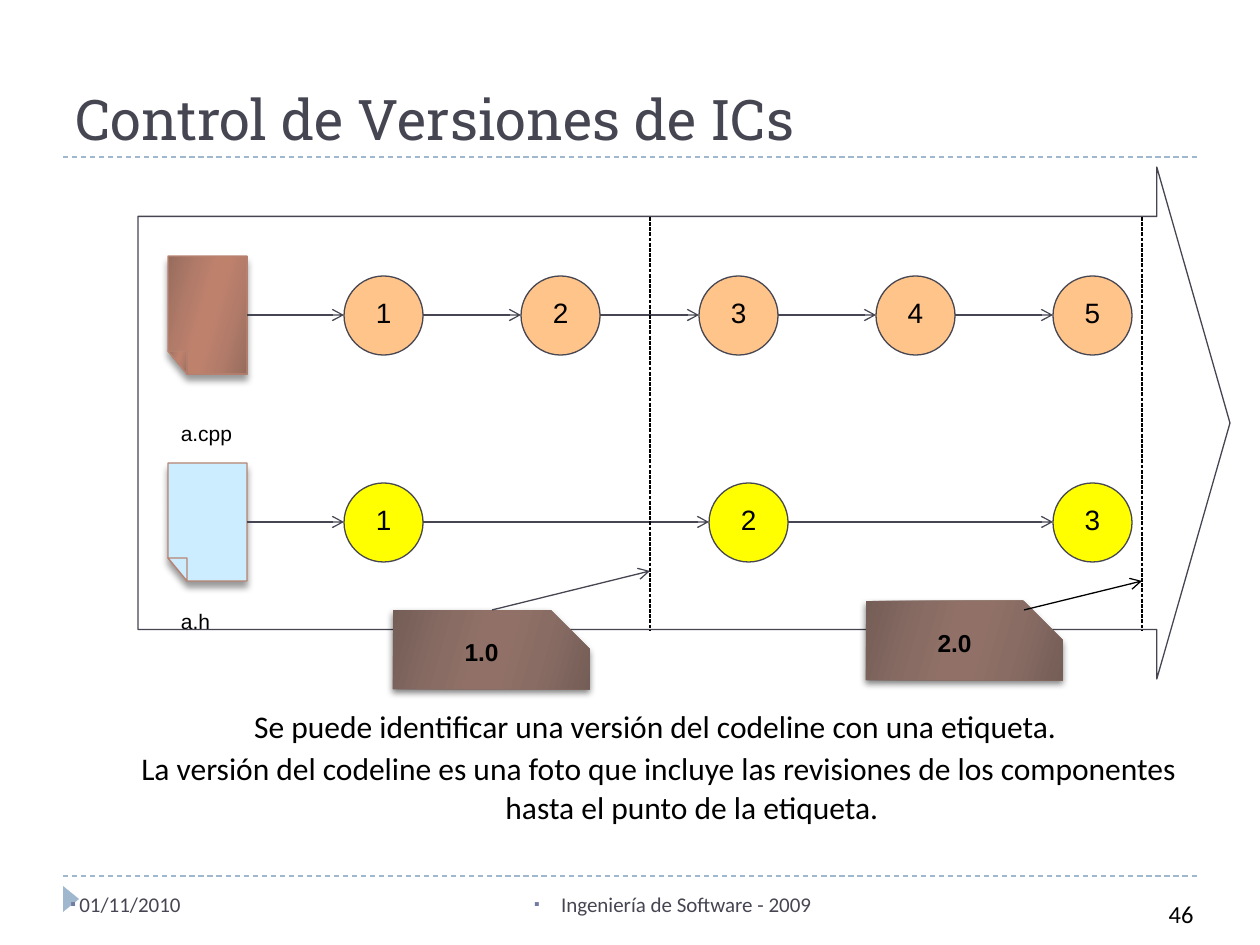
"""Builds the slide on version control of configuration items."""
from pptx import Presentation
from pptx.dml.color import RGBColor
from pptx.enum.dml import MSO_LINE as DASH
from pptx.enum.shapes import MSO_CONNECTOR, MSO_SHAPE as SHAPE
from pptx.enum.text import MSO_ANCHOR as ANCHOR, MSO_AUTO_SIZE as AUTO_SIZE, PP_ALIGN as ALIGN
from pptx.oxml import parse_xml
from pptx.oxml.ns import nsdecls, qn
from pptx.util import Pt

PX = 914400 / 126
COLORS = {"ink": "464653", "black": "000000", "rule": "9FB8CD", "bullet": "727CA3",
          "orange": "FFC489", "yellow": "FFFF00", "sky": "CCECFF", "page_edge": "B88472"}
BROWN_PAGE = ("976C5D", "B37C6A", "BE816C")
BROWN_TAG = ("745E57", "896D64", "917167")
GRADIENT_POSITIONS = (0, 30, 45, 55, 73, 100)

TITLE = "Control de Versiones de ICs"
ROWS = [
    {"top": 256, "fill": BROWN_PAGE, "circle": "orange", "lefts": [344, 521, 699, 876, 1053],
     "label": "a.cpp", "label_box": (168, 413, 77, 38)},
    {"top": 463, "fill": "sky", "circle": "yellow", "lefts": [344, 709, 1053],
     "label": "a.h", "label_box": (168, 601, 55, 38)},
]
TAGS = [("1.0", 393, 610), ("2.0", 866, 601)]
TAG_ARROWS = [((492, 610), (650, 571), "ink"), ((1024, 610), (1142, 581), "black")]
CUTS = [650, 1142]
RULES = [876, 157]
CAPTION = ["Se puede identificar una versión del codeline con una etiqueta. ",
           "La versión del codeline es una foto que incluye las revisiones de los "
           "componentes hasta el punto de la etiqueta."]
FOOTERS = [
    ("01/11/2010", (58, 885, 294, 50), {"size": 12, "color": "ink", "bullet": True, "hanging": 9}),
    ("Ingeniería de Software - 2009", (425, 885, 399, 50),
     {"size": 12, "color": "ink", "align": ALIGN.RIGHT, "bullet": True, "hanging": 27}),
    ("46", (965, 893, 241, 42), {"size": 14, "align": ALIGN.RIGHT}),
]
PAGE_LEFT, PAGE_WIDTH, PAGE_HEIGHT = 168, 79, 118
FOLD_WIDTH, FOLD_HEIGHT = 19, 23
DIAMETER, CIRCLE_OFFSET = 79, 20


def emu(*lengths):
    return [round(length * PX) for length in lengths]


def rgb(name):
    return RGBColor.from_string(COLORS[name])


def write(shape, lines, size=12, color="black", font="Calibri", bold=False, align=ALIGN.LEFT,
          anchor=ANCHOR.TOP, wrap=True, spacing=None, before=0, hanging=0, bullet=False):
    frame = shape.text_frame
    frame.word_wrap, frame.vertical_anchor = wrap, anchor
    frame.auto_size = AUTO_SIZE.NONE
    for index, line in enumerate(lines):
        paragraph = frame.add_paragraph() if index else frame.paragraphs[0]
        paragraph.alignment, paragraph.space_before = align, Pt(before)
        if spacing:
            paragraph.line_spacing = spacing
        run = paragraph.add_run()
        run.text = line
        run.font.size, run.font.name, run.font.bold = Pt(size), font, bold
        run.font.color.rgb = rgb(color)
        properties = paragraph._p.get_or_add_pPr()
        if hanging:
            margin, = emu(hanging)
            properties.set("marL", str(margin))
            properties.set("indent", str(-margin))
        if bullet:
            for xml in (f'<a:buClr {nsdecls("a")}><a:srgbClr val="{COLORS["bullet"]}"/></a:buClr>',
                        f'<a:buSzPct {nsdecls("a")} val="76000"/>',
                        f'<a:buFont {nsdecls("a")} typeface="Arial"/>',
                        f'<a:buChar {nsdecls("a")} char="▪"/>'):
                properties.append(parse_xml(xml))


def paint(shape, fill=None, line=None):
    shape.shadow.inherit = False
    if fill is None:
        shape.fill.background()
    elif isinstance(fill, tuple):
        shape.fill.gradient()
        shape.fill.gradient_angle = 344
        stops = shape.element.spPr.find(qn("a:gradFill")).find(qn("a:gsLst"))
        for stop in list(stops):
            stops.remove(stop)
        for position, color in zip(GRADIENT_POSITIONS, fill + fill[::-1]):
            stops.append(parse_xml(f'<a:gs {nsdecls("a")} pos="{position * 1000}">'
                                   f'<a:srgbClr val="{color}"/></a:gs>'))
    else:
        shape.fill.solid()
        shape.fill.fore_color.rgb = rgb(fill)
    if line:
        shape.line.color.rgb = rgb(line)
        shape.line.width = Pt(0.75)
    else:
        shape.line.fill.background()
    return shape


def cast_shadow(shape, opacity, distance):
    shape.element.spPr.find(qn("a:effectLst")).append(parse_xml(
        f'<a:outerShdw {nsdecls("a")} blurRad="{Pt(4)}" dist="{Pt(distance)}" dir="5400000" '
        f'rotWithShape="0"><a:srgbClr val="000000"><a:alpha val="{opacity * 1000}"/>'
        '</a:srgbClr></a:outerShdw>'))


def add_shape(shapes, kind, box, fill=None, line=None, adjustments=()):
    shape = paint(shapes.add_shape(kind, *emu(*box)), fill, line)
    for index, value in enumerate(adjustments):
        shape.adjustments[index] = value
    return shape


def add_line(shapes, start, end, color="ink", dash=None, arrow=False):
    connector = shapes.add_connector(MSO_CONNECTOR.STRAIGHT, *emu(*start, *end))
    connector.line.color.rgb = rgb(color)
    connector.line.width = Pt(0.75)
    if dash:
        connector.line.dash_style = dash
    if arrow:
        connector.line._get_or_add_ln().append(
            parse_xml(f'<a:tailEnd {nsdecls("a")} type="arrow"/>'))
    connector.element.spPr.append(parse_xml(f'<a:effectLst {nsdecls("a")}/>'))


def add_outline(shapes, points, fill):
    builder = shapes.build_freeform(*points[0], scale=PX)
    builder.add_line_segments(points[1:], close=True)
    return paint(builder.convert_to_shape(), fill, "page_edge")


def add_page(shapes, top, fill):
    right, bottom = PAGE_LEFT + PAGE_WIDTH, top + PAGE_HEIGHT
    fold_x, fold_y = PAGE_LEFT + FOLD_WIDTH, bottom - FOLD_HEIGHT
    page = add_outline(shapes, [(PAGE_LEFT, top), (right, top), (right, bottom),
                                (fold_x, bottom), (PAGE_LEFT, fold_y)], fill)
    cast_shadow(page, 40, 3.4)
    add_outline(shapes, [(PAGE_LEFT, fold_y), (fold_x, fold_y), (fold_x, bottom)], fill)


def add_row(shapes, row):
    add_page(shapes, row["top"], row["fill"])
    circle_top = row["top"] + CIRCLE_OFFSET
    middle = circle_top + DIAMETER // 2
    previous_right = PAGE_LEFT + PAGE_WIDTH
    for number, left in enumerate(row["lefts"], 1):
        circle = add_shape(shapes, SHAPE.OVAL, (left, circle_top, DIAMETER, DIAMETER),
                           row["circle"], "ink")
        write(circle, [str(number)], size=16, font="Arial", align=ALIGN.CENTER, spacing=1.05)
        add_line(shapes, (previous_right, middle), (left, middle), arrow=True)
        previous_right = left + DIAMETER
    label = shapes.add_textbox(*emu(*row["label_box"]))
    write(label, [row["label"]], font="Arial", align=ALIGN.CENTER, wrap=False, spacing=1.05)


def main():
    presentation = Presentation()
    presentation.slide_width, presentation.slide_height = emu(1260, 945)
    slide = presentation.slides.add_slide(presentation.slide_layouts[5])
    shapes = slide.shapes

    for y in RULES:
        add_line(shapes, (63, y), (1197, y), "rule", DASH.DASH)
    add_shape(shapes, SHAPE.ISOSCELES_TRIANGLE, (58, 891, 26, 16), "rule").rotation = 90
    title = shapes.title
    title.left, title.top, title.width, title.height = emu(63, 32, 1134, 126)
    write(title, [TITLE], size=32, color="ink", font="Roboto Slab", anchor=ANCHOR.BOTTOM)
    for text, box, style in FOOTERS:
        write(shapes.add_textbox(*emu(*box)), [text], **style)

    for row in ROWS:
        add_row(shapes, row)
    add_shape(shapes, SHAPE.RIGHT_ARROW, (138, 167, 1092, 512), line="ink",
              adjustments=(0.807, 0.143))
    for text, left, top in TAGS:
        tag = add_shape(shapes, SHAPE.SNIP_1_RECTANGLE, (left, top, 197, 79), BROWN_TAG,
                        adjustments=(0.5,))
        cast_shadow(tag, 50, 2)
        write(tag, [text], size=14, font="Arial", bold=True, align=ALIGN.CENTER, spacing=1.05)
    for x in CUTS:
        add_line(shapes, (x, 217), (x, 630), "black", DASH.SQUARE_DOT)
    for start, end, color in TAG_ARROWS:
        add_line(shapes, start, end, color, arrow=True)

    write(shapes.add_textbox(*emu(118, 699, 1082, 131)), CAPTION, size=18, align=ALIGN.CENTER,
          spacing=1.05, before=1, hanging=66)
    presentation.save("out.pptx")


if __name__ == "__main__":
    main()
